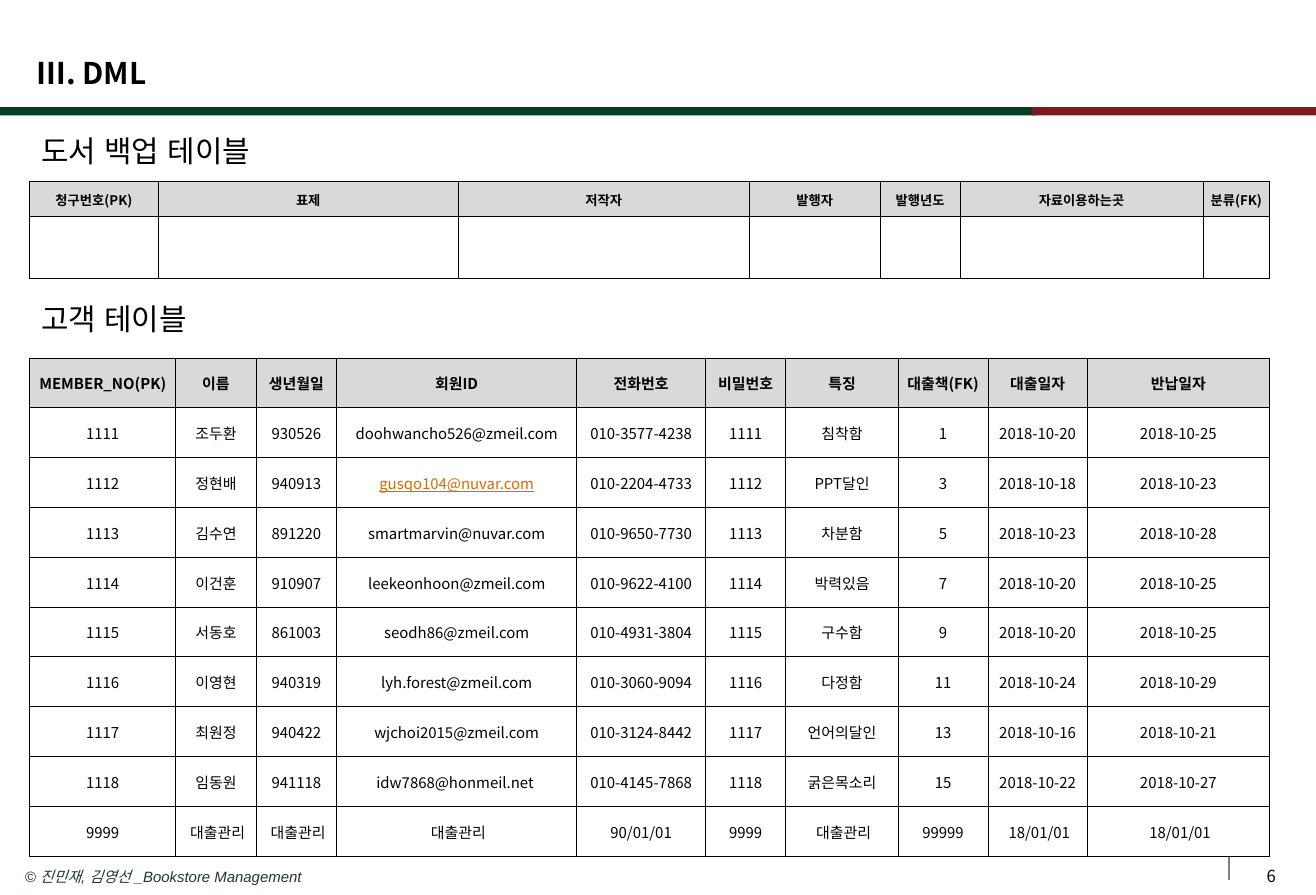
import dataclasses
import typing

import lxml.etree
import pptx
import pptx.dml.color
import pptx.enum.shapes
import pptx.enum.text
import pptx.oxml
import pptx.oxml.ns
import pptx.util

Cm = pptx.util.Cm
Pt = pptx.util.Pt
Align = pptx.enum.text.PP_ALIGN
Anchor = pptx.enum.text.MSO_ANCHOR

COLORS = {
    "green": "004126",
    "red": "7B191E",
    "divider": "808080",
    "footer": "1D3B2A",
    "text": "000000",
    "link": "DC6900",
    "header": "D9D9D9",
}
KOREAN = "Noto Sans CJK KR"
LATIN = "Arial"
LEFT = 0.63
LINKED_ID = "gusqo104@nuvar.com"
SALES = " 대출관리"
SALES_DATE = " 18/01/01"


@dataclasses.dataclass
class Label:
    text: str
    left: float
    top: float
    width: float
    height: float
    size: float
    font: str = LATIN
    color: str = "text"
    bold: bool = False
    italic: bool = False
    wrap: bool = True
    align: Align = Align.LEFT
    anchor: Anchor = Anchor.TOP
    insets: tuple[float, float] = (0.25, 0.13)


@dataclasses.dataclass
class Band:
    left: float
    width: float
    color: str


@dataclasses.dataclass
class Grid:
    top: float
    columns: list[float]
    row_heights: list[float]
    rows: list[tuple[str, ...]]
    size: float


class Member(typing.NamedTuple):
    number: str
    name: str
    birth: str
    user_id: str
    phone: str
    password: str
    trait: str
    book: str
    loaned: str
    returned: str


BANDS = [Band(0, 22.05, "green"), Band(21.96, 6.04, "red")]

FOOTER = Label("© 진민재, 김영선 _Bookstore Management", 0.28, 18.33, 20.17, 0.64, 9,
               color="footer", italic=True)
PAGE_NUMBER = Label("6", 26.15, 18.23, 1.8, 0.81, 10, KOREAN,
                    align=Align.CENTER, anchor=Anchor.MIDDLE)
MEMBER_HEADING = Label("고객 테이블", LEFT, 6.27, 3.89, 1.02, 18, wrap=False)
BOOK_HEADING = Label("도서 백업 테이블", LEFT, 2.69, 5.36, 1.02, 18, wrap=False)
TITLE = Label(" Ⅲ. DML", LEFT, 0.93, 6.73, 1.24, 18, KOREAN, bold=True,
              anchor=Anchor.MIDDLE, insets=(0, 0))

MEMBERS = [
    Member("MEMBER_NO(PK)", "이름", "생년월일", "회원ID", "전화번호", "비밀번호", "특징",
           "대출책(FK)", "대출일자", "반납일자"),
    Member("1111", "조두환", "930526", "doohwancho526@zmeil.com", "010-3577-4238", "1111",
           "침착함", "1", "2018-10-20", "2018-10-25"),
    Member("1112", "정현배", "940913", LINKED_ID, "010-2204-4733", "1112",
           "PPT달인", "3", "2018-10-18", "2018-10-23"),
    Member("1113", "김수연", "891220", "smartmarvin@nuvar.com", "010-9650-7730", "1113",
           "차분함", "5", "2018-10-23", "2018-10-28"),
    Member("1114", "이건훈", "910907", "leekeonhoon@zmeil.com", "010-9622-4100", "1114",
           "박력있음", "7", "2018-10-20", "2018-10-25"),
    Member("1115", "서동호", "861003", "seodh86@zmeil.com", "010-4931-3804", "1115",
           "구수함", "9", "2018-10-20", "2018-10-25"),
    Member("1116", "이영현", "940319", "lyh.forest@zmeil.com", "010-3060-9094", "1116",
           "다정함", "11", "2018-10-24", "2018-10-29"),
    Member("1117", "최원정", "940422", "wjchoi2015@zmeil.com", "010-3124-8442", "1117",
           "언어의달인", "13", "2018-10-16", "2018-10-21"),
    Member("1118", "임동원", "941118", "idw7868@honmeil.net ", "010-4145-7868", "1118",
           "굵은목소리", "15", "2018-10-22", "2018-10-27"),
    Member("9999", SALES, SALES, SALES, "90/01/01", "9999",
           SALES, "99999", SALES_DATE, SALES_DATE),
]
BOOK_FIELDS = ("청구번호(PK)", "표제", "저작자", "발행자", "발행년도", "자료이용하는곳", "분류(FK)")

MEMBER_GRID = Grid(7.62, [3.11, 1.71, 1.71, 5.11, 2.74, 1.71, 2.39, 1.91, 2.11, 3.88],
                   [1.06] * len(MEMBERS), MEMBERS, 9)
BOOK_GRID = Grid(3.86, [2.74, 6.38, 6.19, 2.79, 1.7, 5.17, 1.41], [0.74, 1.32],
                 [BOOK_FIELDS, ("",) * len(BOOK_FIELDS)], 8)


def rgb(color: str) -> pptx.dml.color.RGBColor:
    return pptx.dml.color.RGBColor.from_string(COLORS[color])


def style_runs(paragraph, size: float, font: str, color: str,
               bold: bool = False, italic: bool = False) -> None:
    for run in paragraph.runs:
        run.font.size = Pt(size)
        run.font.name = font
        run.font.bold = bold
        run.font.italic = italic
        run.font.color.rgb = rgb(color)
        east_asian = lxml.etree.SubElement(run.font._element, pptx.oxml.ns.qn("a:ea"))
        east_asian.set("typeface", font)


def add_label(slide, label: Label) -> None:
    box = slide.shapes.add_textbox(Cm(label.left), Cm(label.top),
                                   Cm(label.width), Cm(label.height))
    frame = box.text_frame
    frame.word_wrap = label.wrap
    frame.vertical_anchor = label.anchor
    side, end = label.insets
    frame.margin_left = frame.margin_right = Cm(side)
    frame.margin_top = frame.margin_bottom = Cm(end)
    frame.text = label.text
    paragraph = frame.paragraphs[0]
    paragraph.alignment = label.align
    style_runs(paragraph, label.size, label.font, label.color, label.bold, label.italic)


def add_band(slide, band: Band) -> None:
    bar = slide.shapes.add_shape(pptx.enum.shapes.MSO_SHAPE.RECTANGLE,
                                 Cm(band.left), Cm(2.28), Cm(band.width), Cm(0.18))
    bar.shadow.inherit = False
    bar.fill.solid()
    bar.fill.fore_color.rgb = rgb(band.color)
    bar.line.fill.background()


def add_divider(slide) -> None:
    divider = slide.shapes.add_connector(pptx.enum.shapes.MSO_CONNECTOR.STRAIGHT,
                                         Cm(26.15), Cm(18.23), Cm(26.15), Cm(18.74))
    divider.line.color.rgb = rgb("divider")
    divider.line.width = Pt(0.75)
    lxml.etree.SubElement(divider._element.spPr, pptx.oxml.ns.qn("a:effectLst"))


def add_borders(cell) -> None:
    properties = cell._tc.get_or_add_tcPr()
    for position, side in enumerate(("lnL", "lnR", "lnT", "lnB")):
        properties.insert(position, pptx.oxml.parse_xml(
            f'<a:{side} {pptx.oxml.ns.nsdecls("a")} w="{Pt(0.5)}"><a:solidFill>'
            f'<a:srgbClr val="{COLORS["text"]}"/></a:solidFill></a:{side}>'))


def add_grid(slide, grid: Grid) -> None:
    table = slide.shapes.add_table(len(grid.rows), len(grid.columns), Cm(LEFT), Cm(grid.top),
                                   Cm(sum(grid.columns)), Cm(sum(grid.row_heights))).table
    table.horz_banding = False
    for column, width in zip(table.columns, grid.columns):
        column.width = Cm(width)
    for index, (row, height, values) in enumerate(zip(table.rows, grid.row_heights, grid.rows)):
        row.height = Cm(height)
        is_header = index == 0
        for cell, value in zip(row.cells, values):
            cell.margin_left = cell.margin_right = cell.margin_top = Cm(0.02)
            cell.margin_bottom = 0
            cell.vertical_anchor = Anchor.MIDDLE
            if is_header:
                cell.fill.solid()
                cell.fill.fore_color.rgb = rgb("header")
            else:
                cell.fill.background()
            add_borders(cell)
            cell.text_frame.text = value
            paragraph = cell.text_frame.paragraphs[0]
            paragraph.alignment = Align.CENTER
            is_link = value == LINKED_ID
            style_runs(paragraph, grid.size, KOREAN, "link" if is_link else "text", is_header)
            for run in paragraph.runs:
                run.font.underline = is_link


def main() -> None:
    deck = pptx.Presentation()
    deck.slide_width, deck.slide_height = Cm(28), Cm(19.05)
    slide = deck.slides.add_slide(deck.slide_layouts[6])
    for band in BANDS:
        add_band(slide, band)
    add_divider(slide)
    for label in (FOOTER, PAGE_NUMBER, MEMBER_HEADING):
        add_label(slide, label)
    for grid in (MEMBER_GRID, BOOK_GRID):
        add_grid(slide, grid)
    for label in (BOOK_HEADING, TITLE):
        add_label(slide, label)
    deck.save("out.pptx")


if __name__ == "__main__":
    main()
